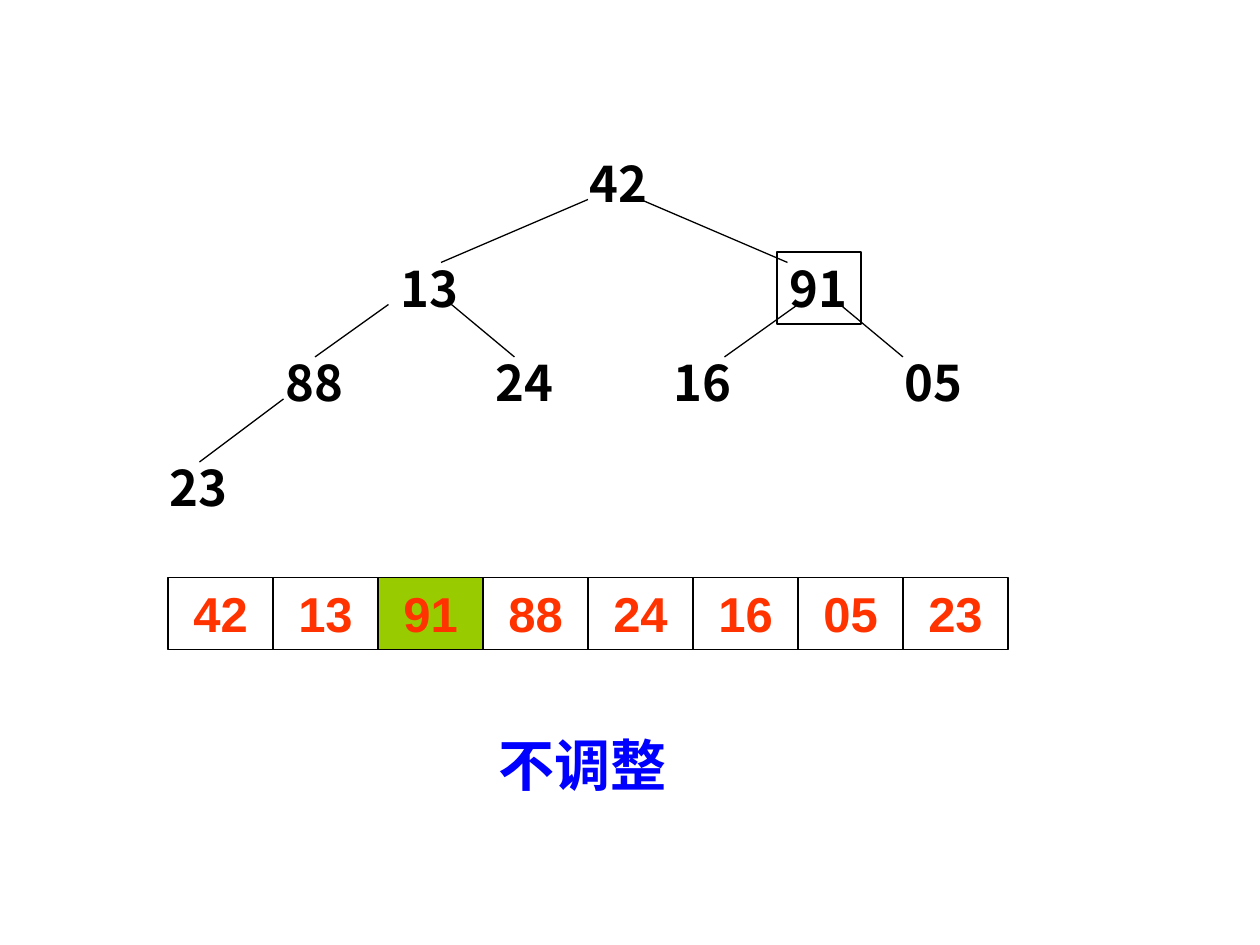
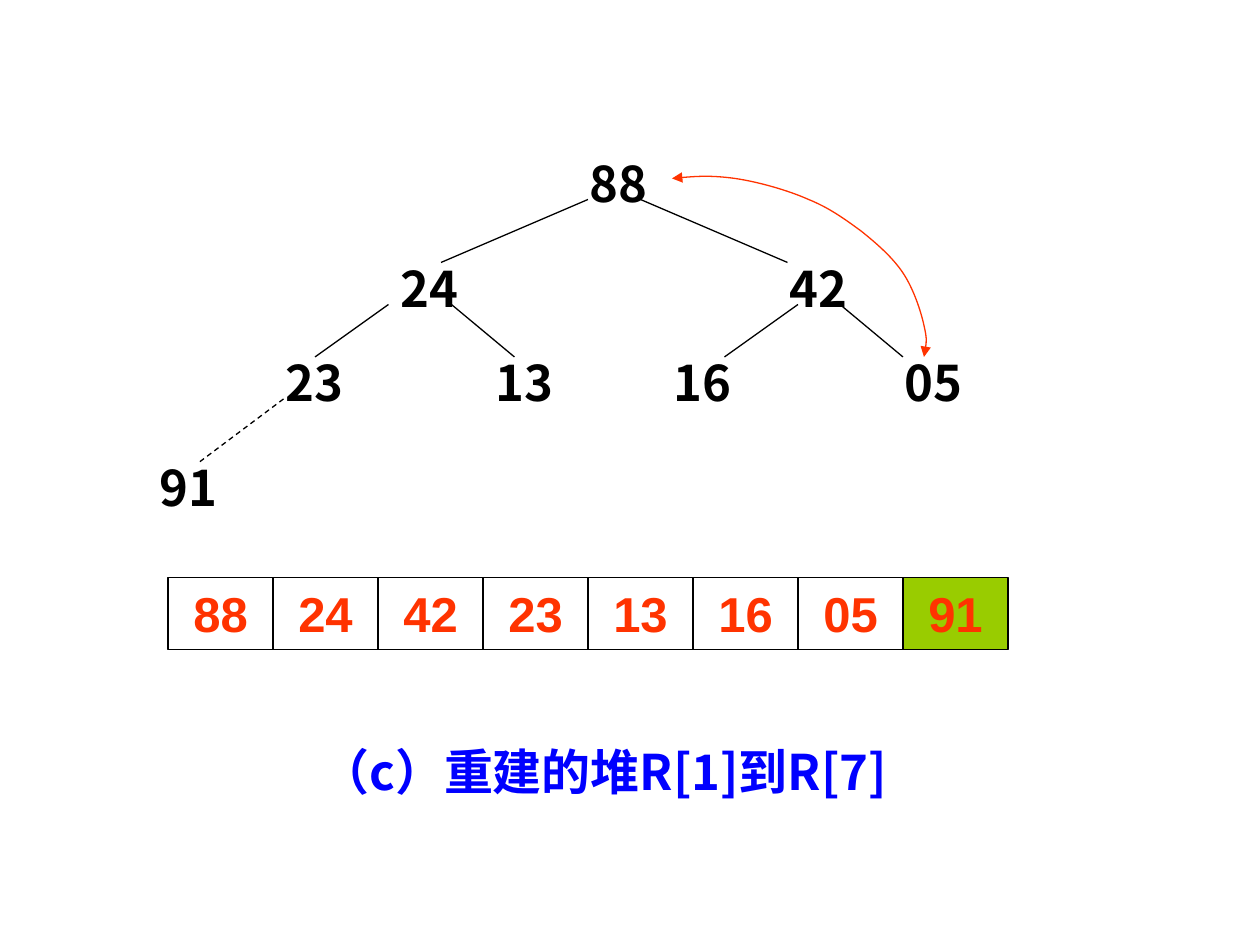
"""Build two heap-sort slides, each with a tree, its array and a caption."""
from dataclasses import dataclass

from lxml.etree import SubElement
from pptx import Presentation
from pptx.dml.color import RGBColor
from pptx.enum.dml import MSO_LINE
from pptx.enum.shapes import MSO_CONNECTOR, MSO_SHAPE
from pptx.enum.text import MSO_ANCHOR, MSO_AUTO_SIZE, PP_ALIGN
from pptx.oxml.ns import qn
from pptx.util import Cm, Pt

HEAPS = [
    {
        "values": ["42", "13", "91", "88", "24", "16", "05", "23"],
        "marked": 2,
        "framed": 2,
        "last_node": (15, 43),
        "detached": False,
        "swap": False,
        "caption": ("不调整", (38, 69, 35, 7.7), 32),
    },
    {
        "values": ["88", "24", "42", "23", "13", "16", "05", "91"],
        "marked": 7,
        "framed": None,
        "last_node": (14, 43),
        "detached": True,
        "swap": True,
        "caption": ("（c）重建的堆R[1]到R[7]", (23, 70, 69, 6.87), 28),
    },
]

NODES = [(55, 14), (37, 24), (74, 24), (26, 33), (46, 33), (63, 33), (85, 33)]
EDGES = [
    (56, 19, 42, 25),
    (61, 19, 75, 25),
    (37, 29, 30, 34),
    (43, 29, 49, 34),
    (76, 29, 69, 34),
    (80, 29, 86, 34),
    (27, 38, 19, 44),
]
SWAP_CURVE = [
    (88, 34),
    (88.2, 33.1), (88.3, 32.3), (88, 31),
    (87.7, 29.6), (87, 27.5), (86, 26),
    (85, 24.5), (83.5, 23.2), (82, 22),
    (80.5, 20.9), (79, 19.8), (77, 19),
    (75, 18.1), (72.1, 17.3), (70, 17),
    (67.8, 16.7), (65.9, 16.8), (64, 17),
]
NODE_SIZE = (8, 6.87)
CELL_SIZE = (10, 6.87)
ARRAY_ORIGIN = (16, 55)


@dataclass(frozen=True)
class Theme:
    ink: RGBColor = RGBColor(0x00, 0x00, 0x00)
    accent: RGBColor = RGBColor(0xFF, 0x33, 0x00)
    marked: RGBColor = RGBColor(0x99, 0xCC, 0x00)
    caption: RGBColor = RGBColor(0x00, 0x00, 0xFF)
    tree_font: str = "Noto Sans CJK SC"
    array_font: str = "Arial"
    value_size: int = 28
    line_width: float = 0.75


THEME = Theme()
FRAME_FORMAT = {
    "word_wrap": True,
    "auto_size": MSO_AUTO_SIZE.NONE,
    "vertical_anchor": MSO_ANCHOR.TOP,
    "margin_left": Cm(0.25),
    "margin_right": Cm(0.25),
    "margin_top": Cm(0.13),
    "margin_bottom": Cm(0),
}
NODE_TEXT = {
    "font": THEME.tree_font,
    "color": THEME.ink,
    "align": PP_ALIGN.LEFT,
}
CELL_TEXT = {
    "font": THEME.array_font,
    "color": THEME.accent,
    "align": PP_ALIGN.CENTER,
}
CAPTION_TEXT = {**NODE_TEXT, "color": THEME.caption, "align": PP_ALIGN.CENTER}


def grid(*steps):
    """Turn grid steps, twelve to 2.54 cm, into lengths."""
    return [Cm(step * 2.54 / 12) for step in steps]


def apply_format(target, values):
    """Set each named attribute on the target."""
    for name, value in values.items():
        setattr(target, name, value)


def style_line(line, color=THEME.ink):
    """Give a line its colour and the common width."""
    line.color.rgb = color
    line.width = Pt(THEME.line_width)


def write_text(shape, text, style, size=THEME.value_size):
    """Write one bold paragraph in a shape."""
    frame = shape.text_frame
    apply_format(frame, FRAME_FORMAT)
    paragraph = frame.paragraphs[0]
    paragraph.alignment = style["align"]
    run = paragraph.add_run()
    run.text = text
    apply_format(run.font, {"name": style["font"], "size": Pt(size), "bold": True})
    run.font.color.rgb = style["color"]
    SubElement(run.font._element, qn("a:ea"), typeface=style["font"])


def add_box(slide, box, fill=None):
    """Add an outlined rectangle."""
    shape = slide.shapes.add_shape(MSO_SHAPE.RECTANGLE, *grid(*box))
    shape.shadow.inherit = False
    if fill is None:
        shape.fill.background()
    else:
        shape.fill.solid()
        shape.fill.fore_color.rgb = fill
    style_line(shape.line)
    return shape


def add_tree(slide, heap):
    """Add the node values and the edges between them."""
    positions = NODES + [heap["last_node"]]
    for index, (value, position) in enumerate(zip(heap["values"], positions)):
        box = position + NODE_SIZE
        if index == heap["framed"]:
            node = add_box(slide, box)
        else:
            node = slide.shapes.add_textbox(*grid(*box))
        write_text(node, value, NODE_TEXT)
    for edge in EDGES:
        connector = slide.shapes.add_connector(MSO_CONNECTOR.STRAIGHT, *grid(*edge))
        style_line(connector.line)
        if heap["detached"] and edge == EDGES[-1]:
            connector.line.dash_style = MSO_LINE.DASH
        SubElement(connector._element.spPr, qn("a:effectLst"))


def add_array(slide, heap):
    """Add the row of array cells."""
    left, top = ARRAY_ORIGIN
    for index, value in enumerate(heap["values"]):
        box = (left + index * CELL_SIZE[0], top) + CELL_SIZE
        fill = THEME.marked if index == heap["marked"] else None
        write_text(add_box(slide, box, fill), value, CELL_TEXT)


def add_swap_arrow(slide):
    """Add the curved double arrow between the root and the last heap node."""
    start, *points = [grid(*point) for point in SWAP_CURVE]
    builder = slide.shapes.build_freeform(*start)
    builder.add_line_segments(points, close=False)
    arrow = builder.convert_to_shape()
    arrow.shadow.inherit = False
    arrow.fill.background()
    style_line(arrow.line, THEME.accent)
    outline = next(arrow._element.iter(qn("a:path")))
    segments = outline.findall(qn("a:lnTo"))
    for first in range(0, len(segments), 3):
        curve = SubElement(outline, qn("a:cubicBezTo"))
        for segment in segments[first:first + 3]:
            curve.append(segment[0])
            outline.remove(segment)
    line_properties = arrow._element.spPr.find(qn("a:ln"))
    for end in ("a:headEnd", "a:tailEnd"):
        SubElement(line_properties, qn(end), type="triangle")


def main():
    """Build and save the presentation."""
    presentation = Presentation()
    apply_format(presentation, {"slide_width": Cm(25.4), "slide_height": Cm(19.05)})
    for heap in HEAPS:
        slide = presentation.slides.add_slide(presentation.slide_layouts[6])
        add_tree(slide, heap)
        add_array(slide, heap)
        if heap["swap"]:
            add_swap_arrow(slide)
        text, box, size = heap["caption"]
        caption = slide.shapes.add_textbox(*grid(*box))
        write_text(caption, text, CAPTION_TEXT, size)
    presentation.save("out.pptx")


if __name__ == "__main__":
    main()
